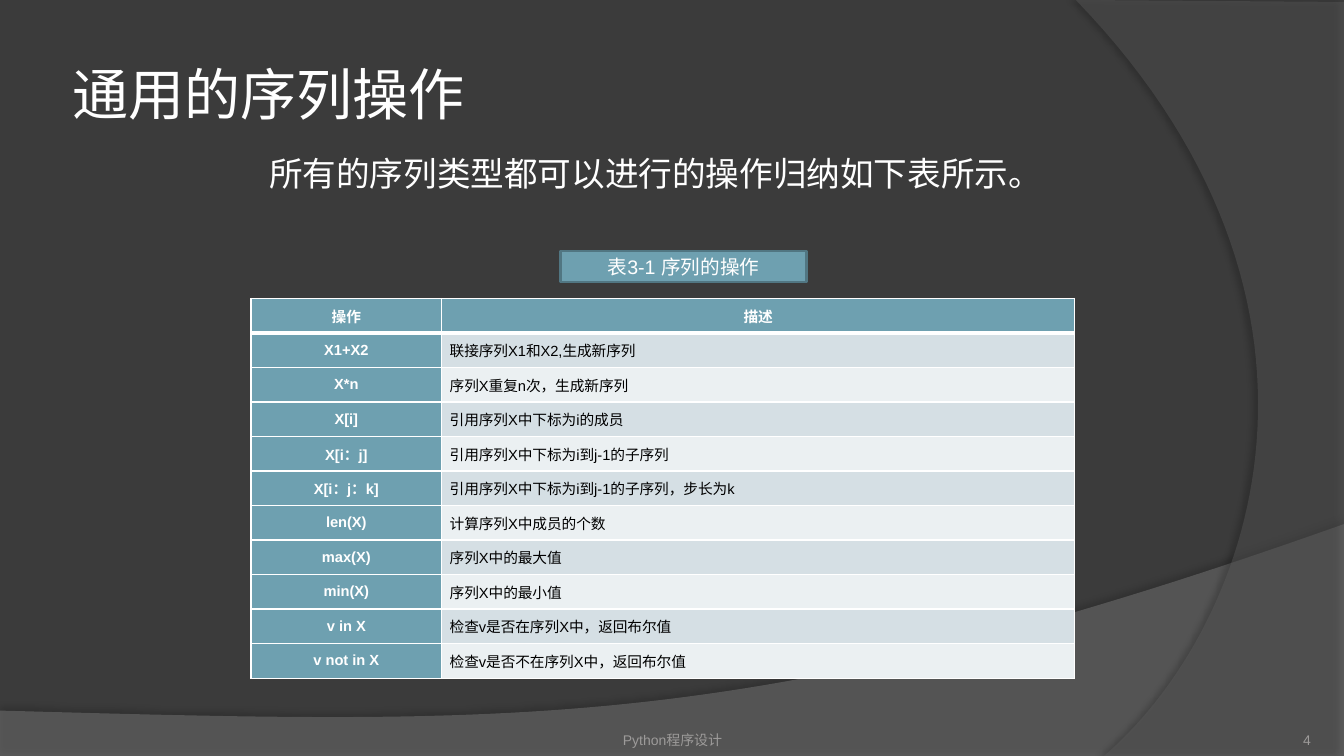
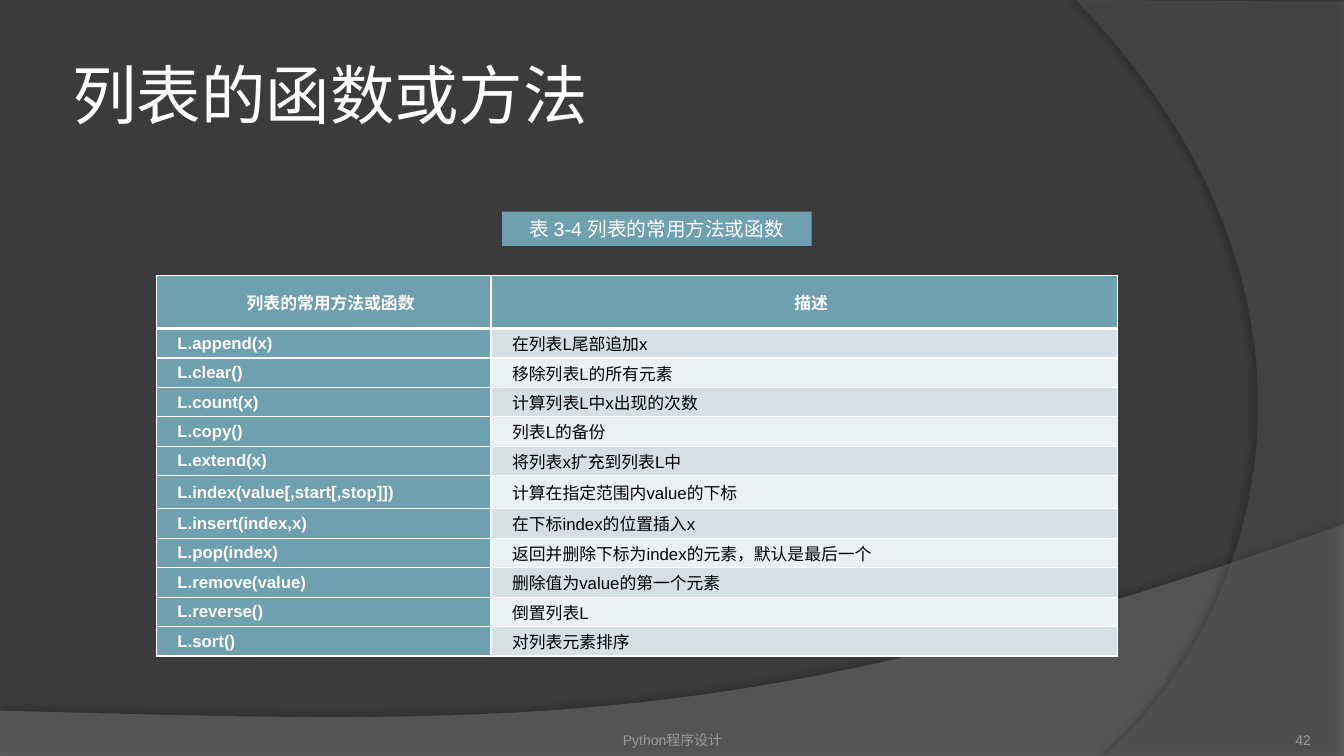
from dataclasses import dataclass

from lxml import etree
from pptx import Presentation
from pptx import util as u
from pptx.dml import color
from pptx.enum import shapes, text
from pptx.oxml import ns


@dataclass(frozen=True)
class Theme:
    background: str = "3B3B3B"
    wave: str = "7F7F7F"
    arc: str = "5E5E5E"
    accent: str = "6EA0B0"
    accent_line: str = "517682"
    odd_row: str = "D5DFE4"
    even_row: str = "EBF0F2"
    light: str = "FFFFFF"
    dark: str = "000000"
    muted: str = "9D9B9A"
    title_font: str = "Lato"
    body_font: str = "Arial"
    chinese_font: str = "Noto Sans CJK SC"
    footer_size: float = 10
    caption_size: float = 14
    lead_size: float = 24


THEME = Theme()
LEFT, CENTER, RIGHT = text.PP_ALIGN.LEFT, text.PP_ALIGN.CENTER, text.PP_ALIGN.RIGHT
MIDDLE, BOTTOM = text.MSO_ANCHOR.MIDDLE, text.MSO_ANCHOR.BOTTOM
SIDES = ("left", "top", "right", "bottom")

SEQUENCE_ROWS = [
    ("操作", "描述"),
    ("X1+X2", "联接序列X1和X2,生成新序列"),
    ("X*n", "序列X重复n次，生成新序列"),
    ("X[i]", "引用序列X中下标为i的成员"),
    ("X[i：j]", "引用序列X中下标为i到j-1的子序列"),
    ("X[i：j：k]", "引用序列X中下标为i到j-1的子序列，步长为k"),
    ("len(X)", "计算序列X中成员的个数"),
    ("max(X)", "序列X中的最大值"),
    ("min(X)", "序列X中的最小值"),
    ("v in X", "检查v是否在序列X中，返回布尔值"),
    ("v not in X", "检查v是否不在序列X中，返回布尔值"),
]
LIST_ROWS = [
    ("列表的常用方法或函数", "描述"),
    ("L.append(x)", "在列表L尾部追加x"),
    ("L.clear()", "移除列表L的所有元素"),
    ("L.count(x)", "计算列表L中x出现的次数"),
    ("L.copy()", "列表L的备份"),
    ("L.extend(x)", "将列表x扩充到列表L中"),
    ("L.index(value[,start[,stop]])", "计算在指定范围内value的下标"),
    ("L.insert(index,x)", "在下标index的位置插入x"),
    ("L.pop(index)", "返回并删除下标为index的元素，默认是最后一个"),
    ("L.remove(value)", "删除值为value的第一个元素"),
    ("L.reverse()", "倒置列表L"),
    ("L.sort()", "对列表元素排序"),
]


def rgb(value):
    return color.RGBColor.from_string(value)


def inches(values):
    return [u.Inches(value) for value in values]


def set_values(target, values):
    for name, value in values.items():
        setattr(target, name, value)


def add_element(parent, tag, **attributes):
    element = etree.SubElement(parent, ns.qn(tag))
    for name, value in attributes.items():
        element.set(name, str(value))
    return element


def paint(shape, fill):
    shape.fill.solid()
    shape.fill.fore_color.rgb = rgb(fill)


def write_text(frame, content, size, font_color=THEME.light, font=THEME.body_font,
               bold=False, alignment=LEFT, **spacing):
    paragraph = frame.paragraphs[0]
    set_values(paragraph, {"alignment": alignment, **spacing})
    run = paragraph.add_run()
    run.text = content
    set_values(run.font, {"size": u.Pt(size), "bold": bold, "name": font})
    run.font.color.rgb = rgb(font_color)
    add_element(run.font._element, "a:ea", typeface=THEME.chinese_font)
    return paragraph


def add_text(slide, box, content, size, anchor=None, margins=(0.1, 0.05, 0.1, 0.05), **style):
    frame = slide.shapes.add_textbox(*inches(box)).text_frame
    set_values(frame, {"word_wrap": True, "vertical_anchor": anchor})
    set_values(frame, {f"margin_{side}": u.Inches(value) for side, value in zip(SIDES, margins)})
    write_text(frame, content, size, **style)


def curve(start, control1, control2, end, steps=60):
    points = []
    for step in range(1, steps + 1):
        t = step / steps
        weights = ((1 - t) ** 3, 3 * t * (1 - t) ** 2, 3 * t * t * (1 - t), t ** 3)
        points.append(tuple(
            sum(weight * value for weight, value in zip(weights, values))
            for values in zip(start, control1, control2, end)))
    return points


def add_band(slide, points, fill, opacity, shadow_opacity, distance, direction):
    start, *others = [inches(point) for point in points]
    builder = slide.shapes.build_freeform(*start)
    builder.add_line_segments(others, close=True)
    band = builder.convert_to_shape()
    paint(band, fill)
    band.line.fill.background()
    fill_color = band._element.spPr.find(f".//{ns.qn('a:srgbClr')}")
    add_element(fill_color, "a:alpha", val=opacity * 1000)
    band.shadow.inherit = False
    effects = band._element.spPr.find(ns.qn("a:effectLst"))
    shadow = add_element(effects, "a:outerShdw", blurRad=u.Pt(4), dist=u.Pt(distance),
                         dir=direction * 60000, algn="ctr", rotWithShape=0)
    shadow_color = add_element(shadow, "a:srgbClr", val=THEME.dark)
    add_element(shadow_color, "a:alpha", val=shadow_opacity * 1000)


def add_backdrop(slide, box):
    left, top, width, height = box
    right, bottom = left + width, top + height
    paint(slide.background, THEME.background)
    wave_start, wave_end = (right, top + 5.2), (left, top + 7.05)
    wave = [wave_end, (left, bottom), (right, bottom), wave_start]
    wave += curve(wave_start, (left + 7.45, top + 7.29), (left + 5.21, top + 7.19), wave_end)
    add_band(slide, wave, THEME.wave, 45, 35, 3.5, 270)
    arc_start, arc_end = (left + 10.95, bottom), (left + 10.67, top)
    arc = [(right, top + 0.02), (right, bottom), arc_start]
    arc += curve(arc_start, (left + 12.46, top + 6.19), (left + 13.57, top + 3), arc_end)
    add_band(slide, arc, THEME.arc, 40, 45, 4, 180)


def add_footer(slide, box, number):
    left, top, width, height = box
    style = {"size": THEME.footer_size, "font_color": THEME.muted, "anchor": BOTTOM}
    add_text(slide, (left, top, 4.22, height), "Python程序设计",
             margins=(0, 0.05, 0, 0), alignment=CENTER, **style)
    add_text(slide, (left + width - 1.11, top, 1.11, height), number,
             margins=(0, 0, 0, 0), alignment=RIGHT, **style)


def add_caption(slide, box, content, outline=None):
    caption = slide.shapes.add_shape(shapes.MSO_SHAPE.RECTANGLE, *inches(box))
    caption.shadow.inherit = False
    paint(caption, THEME.accent)
    if outline:
        caption.line.color.rgb = rgb(outline)
        caption.line.width = u.Pt(1.5)
    else:
        caption.line.fill.background()
    set_values(caption.text_frame, {"word_wrap": True, "vertical_anchor": MIDDLE})
    write_text(caption.text_frame, content, THEME.caption_size, alignment=CENTER)


def set_borders(cell, top, bottom):
    properties = cell._tc.get_or_add_tcPr()
    widths = {"a:lnL": 1, "a:lnR": 1, "a:lnT": top, "a:lnB": bottom}
    for position, (tag, width) in enumerate(widths.items()):
        line = add_element(properties, tag, w=u.Pt(width))
        add_element(add_element(line, "a:solidFill"), "a:srgbClr", val=THEME.light)
        properties.insert(position, line)


def add_grid(slide, box, rows, first_width, size, fixed_heights, margin, key_alignment,
             indent=0, **spacing):
    width, height = box[2:]
    table = slide.shapes.add_table(len(rows), 2, *inches(box)).table
    for column, column_width in zip(table.columns, (first_width, width - first_width)):
        column.width = u.Inches(column_width)
    shared = (height - sum(fixed_heights.values())) / (len(rows) - len(fixed_heights))
    for row_index, values in enumerate(rows):
        table.rows[row_index].height = u.Inches(fixed_heights.get(row_index, shared))
        header = row_index == 0
        for column_index, content in enumerate(values):
            cell = table.cell(row_index, column_index)
            key = header or column_index == 0
            set_values(cell, {
                "vertical_anchor": MIDDLE, "margin_top": 0, "margin_bottom": 0,
                "margin_left": u.Inches(margin), "margin_right": u.Inches(margin)})
            paint(cell, THEME.accent if key else THEME.odd_row if row_index % 2 else THEME.even_row)
            set_borders(cell, 3 if row_index == 1 else 1, 3 if header else 1)
            paragraph = write_text(
                cell.text_frame, content, size, THEME.light if key else THEME.dark, bold=key,
                alignment=CENTER if header else key_alignment if key else LEFT, **spacing)
            paragraph._p.get_or_add_pPr().set("indent", str(u.Inches(indent)))


def add_base_slide(presentation, title, title_size, number):
    slide = presentation.slides.add_slide(presentation.slide_layouts[6])
    add_backdrop(slide, (0, 0, 13.33, 7.5))
    add_text(slide, (0.67, 0.3, 10.89, 1.25), title, title_size, anchor=MIDDLE,
             margins=(0.05,) * 4, font=THEME.title_font)
    add_footer(slide, (4.56, 7.02, 8.44, 0.4), number)
    return slide


def add_sequence_slide(presentation):
    slide = add_base_slide(presentation, "通用的序列操作", 40, "4")
    add_text(slide, (2.57, 1.47, 7.87, 0.5), "所有的序列类型都可以进行的操作归纳如下表所示。",
             THEME.lead_size, font=THEME.chinese_font)
    add_caption(slide, (5.56, 2.49, 2.44, 0.31), "表3-1 序列的操作", outline=THEME.accent_line)
    add_grid(slide, (2.49, 2.96, 8.17, 3.77), SEQUENCE_ROWS, 1.89, 10.5, {}, 0.08, CENTER,
             space_before=u.Pt(10))


def add_list_slide(presentation):
    slide = add_base_slide(presentation, "列表的函数或方法", 46, "42")
    add_caption(slide, (4.98, 2.1, 3.07, 0.34), "表 3-4 列表的常用方法或函数")
    add_grid(slide, (1.55, 2.73, 9.53, 3.78), LIST_ROWS, 3.32, 12, {0: 0.53, 6: 0.33}, 0.07, LEFT,
             indent=0.14, space_before=u.Pt(9), space_after=u.Pt(9))


def main():
    presentation = Presentation()
    set_values(presentation, {"slide_width": u.Inches(13.33), "slide_height": u.Inches(7.5)})
    add_sequence_slide(presentation)
    add_list_slide(presentation)
    presentation.save("out.pptx")


if __name__ == "__main__":
    main()
